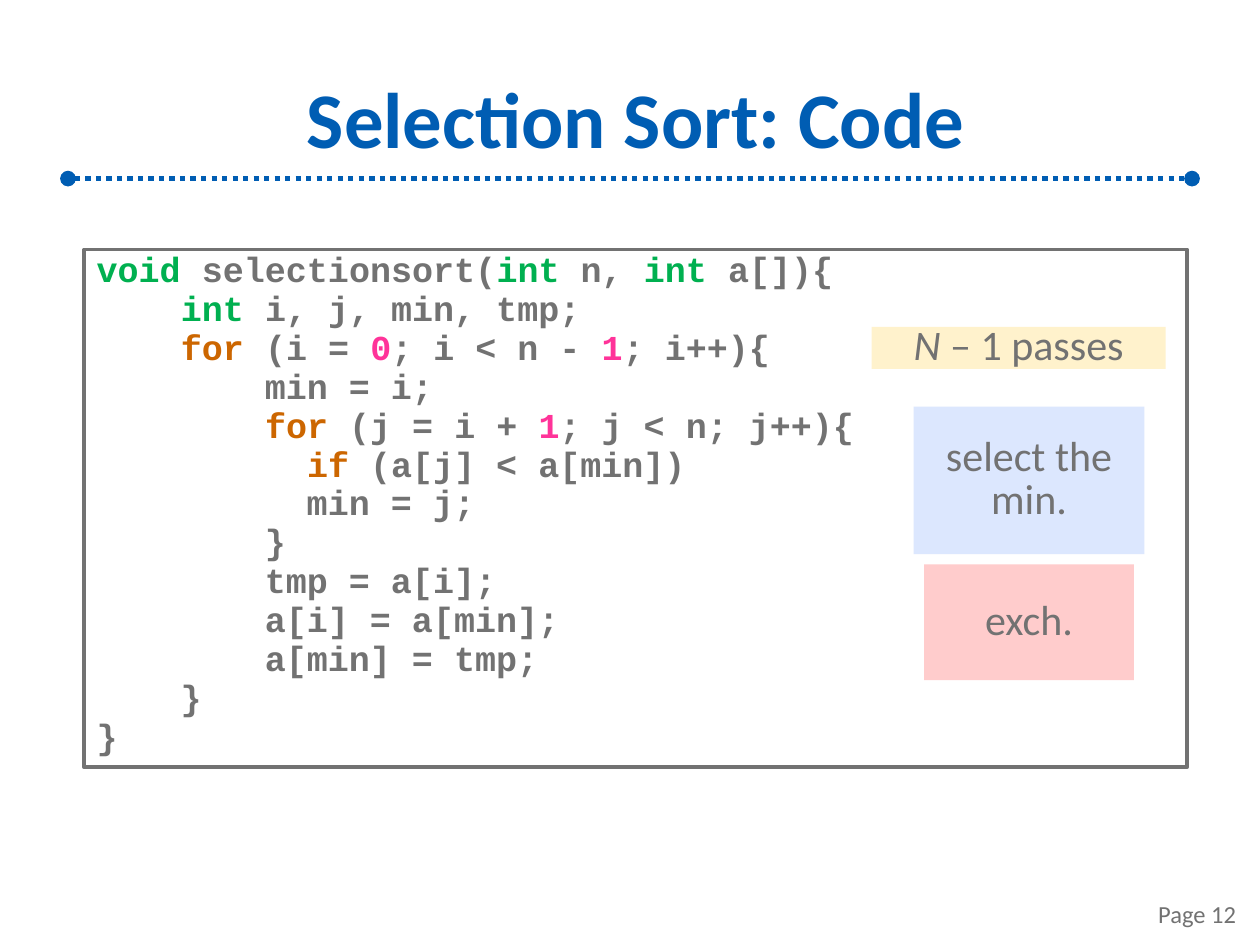
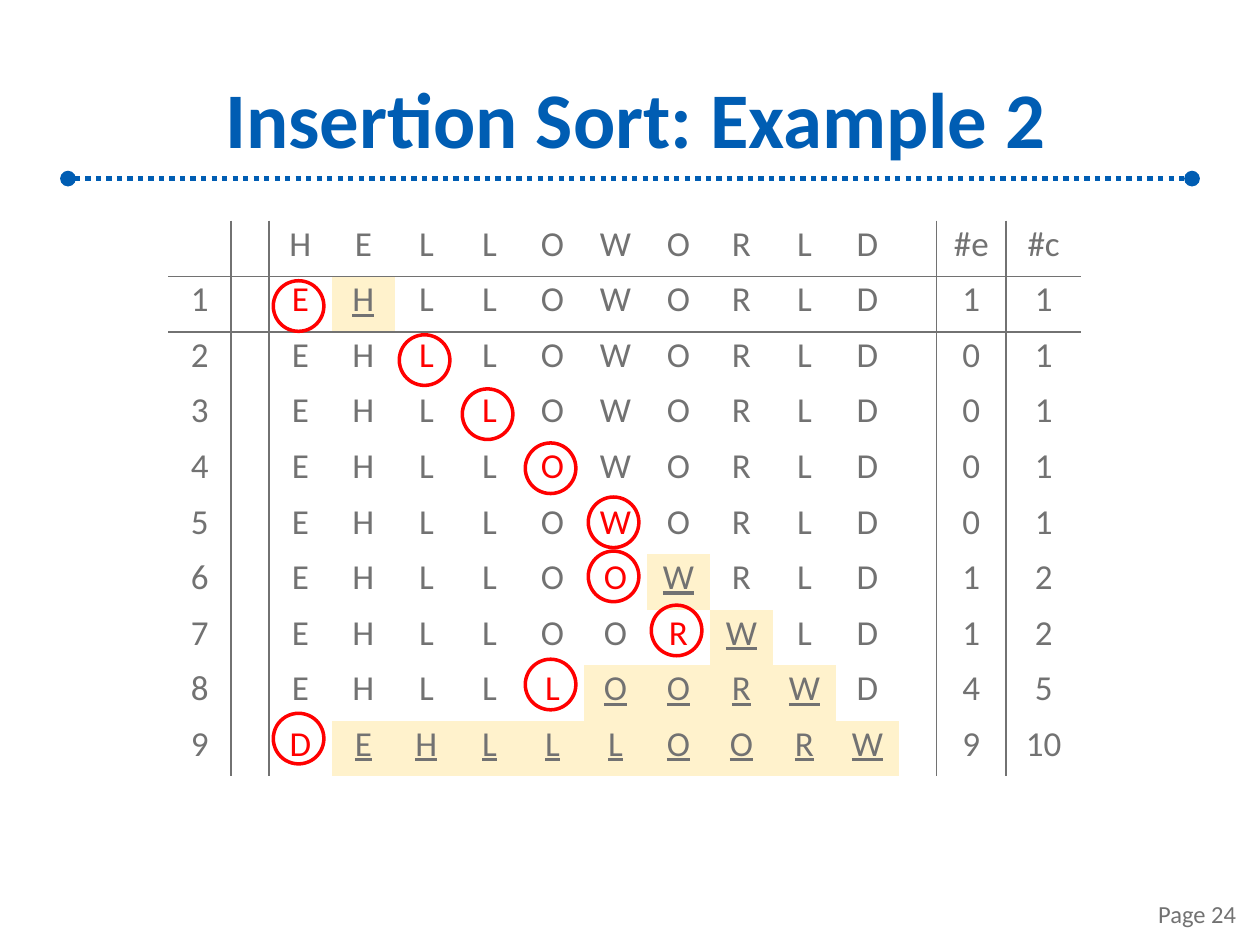
import dataclasses
import itertools

import lxml.etree
import pptx
import pptx.dml.color
import pptx.enum.dml
import pptx.enum.shapes
import pptx.enum.text
import pptx.oxml.ns
import pptx.util

Cm = pptx.util.Cm
Pt = pptx.util.Pt
Align = pptx.enum.text.PP_ALIGN
Anchor = pptx.enum.text.MSO_ANCHOR
Preset = pptx.enum.shapes.MSO_SHAPE


@dataclasses.dataclass(frozen=True)
class Theme:
    blue: str = "005DB3"
    gray: str = "727272"
    red: str = "FF0000"
    cream: str = "FFF2CC"
    pale_blue: str = "DCE7FE"
    pink: str = "FFCCCC"
    type_green: str = "00B050"
    keyword_orange: str = "CC6600"
    number_pink: str = "FF3399"
    body_font: str = "Calibri"
    code_font: str = "Courier New"
    title_size: int = 45
    label_size: int = 24
    body_size: int = 20
    page_size: int = 14


THEME = Theme()

SYNTAX = {
    "void": THEME.type_green,
    "int": THEME.type_green,
    "for": THEME.keyword_orange,
    "if": THEME.keyword_orange,
    "0": THEME.number_pink,
    "1": THEME.number_pink,
}

CODE = [
    "void selectionsort(int n, int a[]){",
    "    int i, j, min, tmp;",
    "    for (i = 0; i < n - 1; i++){",
    "        min = i;",
    "        for (j = i + 1; j < n; j++){",
    "\t       if (a[j] < a[min])",
    "\t\t    min = j;",
    "        }",
    "        tmp = a[i];",
    "        a[i] = a[min];",
    "        a[min] = tmp;",
    "    }",
    "}",
]

PASSES = [
    ("EHLLOWORLD", 1, 1),
    ("EHLLOWORLD", 0, 1),
    ("EHLLOWORLD", 0, 1),
    ("EHLLOWORLD", 0, 1),
    ("EHLLOWORLD", 0, 1),
    ("EHLLOOWRLD", 1, 2),
    ("EHLLOORWLD", 1, 2),
    ("EHLLLOORWD", 4, 5),
    ("DEHLLLOORW", 9, 10),
]


def rgb(color):
    return pptx.dml.color.RGBColor.from_string(color)


def add_xml(parent, tag, **attributes):
    return lxml.etree.SubElement(parent, pptx.oxml.ns.qn(tag), **attributes)


def style(paragraph, size, color=THEME.gray, font=THEME.body_font, bold=False, align=Align.CENTER):
    paragraph.alignment = align
    paragraph.font.name = font
    paragraph.font.size = Pt(size)
    paragraph.font.bold = bold
    paragraph.font.color.rgb = rgb(color)


def tighten(paragraph, size):
    paragraph.line_spacing = 0.85
    paragraph.space_before = Pt(0.3 * size)


def add_text(slide, box, text, anchor, inset=None, **look):
    frame = slide.shapes.add_textbox(*map(Cm, box)).text_frame
    frame.word_wrap = True
    frame.vertical_anchor = anchor
    if inset is not None:
        frame.margin_left = frame.margin_right = Cm(inset)
        frame.margin_top = frame.margin_bottom = Cm(inset)
    frame.text = text
    style(frame.paragraphs[0], **look)


def add_shape(slide, preset, box, fill=None, outline=None, width=1):
    shape = slide.shapes.add_shape(preset, *map(Cm, box))
    shape.shadow.inherit = False
    if fill:
        shape.fill.solid()
        shape.fill.fore_color.rgb = rgb(fill)
    else:
        shape.fill.background()
    if outline:
        shape.line.color.rgb = rgb(outline)
        shape.line.width = Pt(width)
    else:
        shape.line.fill.background()
    return shape


def add_title_rule(slide):
    rule = slide.shapes.add_connector(
        pptx.enum.shapes.MSO_CONNECTOR.STRAIGHT, Cm(1.37), Cm(3.6), Cm(24.03), Cm(3.6))
    rule.line.color.rgb = rgb(THEME.blue)
    rule.line.width = Pt(3)
    rule.line.dash_style = pptx.enum.dml.MSO_LINE.ROUND_DOT
    outline = rule.line._get_or_add_ln()
    for end in ("a:headEnd", "a:tailEnd"):
        add_xml(outline, end, type="oval")
    add_xml(rule._element.spPr, "a:effectLst")


def start_slide(deck, title, page):
    slide = deck.slides.add_slide(deck.slide_layouts[6])
    add_title_rule(slide)
    add_text(slide, (1.7, 1.07, 22.23, 2.57), title, Anchor.MIDDLE, inset=0.1,
             size=THEME.title_size, color=THEME.blue, bold=True)
    add_text(slide, (19.25, 17.53, 5.92, 1.32), f"Page {page}", Anchor.BOTTOM,
             size=THEME.page_size, align=Align.RIGHT)
    return slide


def token_color(token):
    return SYNTAX.get(token, THEME.gray)


def add_code(slide, box, lines):
    frame = add_shape(slide, Preset.RECTANGLE, box, outline=THEME.gray, width=2.25).text_frame
    frame.word_wrap = True
    frame.vertical_anchor = Anchor.TOP
    frame.auto_size = pptx.enum.text.MSO_AUTO_SIZE.SHAPE_TO_FIT_TEXT
    for number, line in enumerate(lines):
        paragraph = frame.add_paragraph() if number else frame.paragraphs[0]
        style(paragraph, THEME.body_size, font=THEME.code_font, bold=True, align=Align.LEFT)
        paragraph.line_spacing = 0.8
        paragraph.space_before = Pt(3)
        tokens = ["".join(group) for _, group in itertools.groupby(line, str.isalnum)]
        for color, group in itertools.groupby(tokens, token_color):
            run = paragraph.add_run()
            run.text = "".join(group)
            run.font.color.rgb = rgb(color)


def add_label(slide, box, fill, text, variable=""):
    frame = add_shape(slide, Preset.RECTANGLE, box, fill=fill).text_frame
    frame.word_wrap = True
    frame.vertical_anchor = Anchor.MIDDLE
    paragraph = frame.paragraphs[0]
    style(paragraph, THEME.label_size)
    tighten(paragraph, THEME.label_size)
    if variable:
        symbol = paragraph.add_run()
        symbol.text = variable
        symbol.font.italic = True
    paragraph.add_run().text = text


def set_borders(cell, drawn):
    properties = cell._tc.get_or_add_tcPr()
    for position, side in enumerate("LRTB"):
        edge = lxml.etree.Element(pptx.oxml.ns.qn(f"a:ln{side}"), w=str(Pt(1)))
        if side in drawn:
            add_xml(add_xml(edge, "a:solidFill"), "a:srgbClr", val=THEME.gray)
        else:
            add_xml(edge, "a:noFill")
        properties.insert(position, edge)


def fill_cell(cell, text, color=THEME.gray, moved=False):
    if moved:
        cell.fill.solid()
        cell.fill.fore_color.rgb = rgb(THEME.cream)
    else:
        cell.fill.background()
    cell.text = text
    paragraph = cell.text_frame.paragraphs[0]
    style(paragraph, THEME.body_size, color=color)
    tighten(paragraph, THEME.body_size)
    if moved:
        paragraph.font.underline = True


def edges(row, column):
    sides = ""
    if column in (1, 2, 13, 14):
        sides += "L"
    if column in (0, 1, 12, 13):
        sides += "R"
    if row in (1, 2):
        sides += "T"
    if row in (0, 1):
        sides += "B"
    return sides


def add_trace(slide, word, passes):
    widths = [1.27, 0.76] + [1.27] * len(word) + [0.76, 1.4, 1.52]
    row_height = 1.12
    rows = [["", "", *word, "", "#e", "#c"]]
    for number, (letters, exchanges, compares) in enumerate(passes, 1):
        rows.append([str(number), "", *letters, "", str(exchanges), str(compares)])
    table = slide.shapes.add_table(
        len(rows), len(widths), Cm(3.39), Cm(4.45),
        Cm(sum(widths)), Cm(row_height * len(rows))).table
    table.first_row = False
    table.horz_banding = False
    for column, width in zip(table.columns, widths):
        column.width = Cm(width)
    for row, texts in enumerate(rows):
        table.rows[row].height = Cm(row_height)
        exchanges = passes[row - 1][1] if row else 0
        inserted = row - exchanges + 2 if row else None
        for column, text in enumerate(texts):
            cell = table.cell(row, column)
            moved = bool(row) and inserted < column <= inserted + exchanges
            color = THEME.red if column == inserted else THEME.gray
            fill_cell(cell, text, color, moved)
            set_borders(cell, edges(row, column))


def add_insertion_rings(slide, passes):
    for index, (_, exchanges, _) in enumerate(passes):
        position = index + 1 - exchanges
        ring = (5.51 + 1.27 * position, 5.66 + 1.09 * index, 1.02, 1.02)
        add_shape(slide, Preset.OVAL, ring, outline=THEME.red, width=2)


def build_selection_sort(deck):
    slide = start_slide(deck, "Selection Sort: Code", 12)
    add_code(slide, (1.7, 5.03, 22.23, 10.44), CODE)
    add_label(slide, (18.42, 8.2, 4.65, 2.97), THEME.pale_blue, "select the min.")
    add_label(slide, (18.63, 11.38, 4.23, 2.33), THEME.pink, "exch.")
    add_label(slide, (17.57, 6.59, 5.93, 0.85), THEME.cream, " – 1 passes", variable="N")


def build_insertion_sort(deck):
    slide = start_slide(deck, "Insertion Sort: Example 2", 24)
    add_trace(slide, "HELLOWORLD", PASSES)
    add_insertion_rings(slide, PASSES)


def main():
    deck = pptx.Presentation()
    deck.slide_width = Cm(25.4)
    deck.slide_height = Cm(19.05)
    build_selection_sort(deck)
    build_insertion_sort(deck)
    deck.save("out.pptx")


main()
